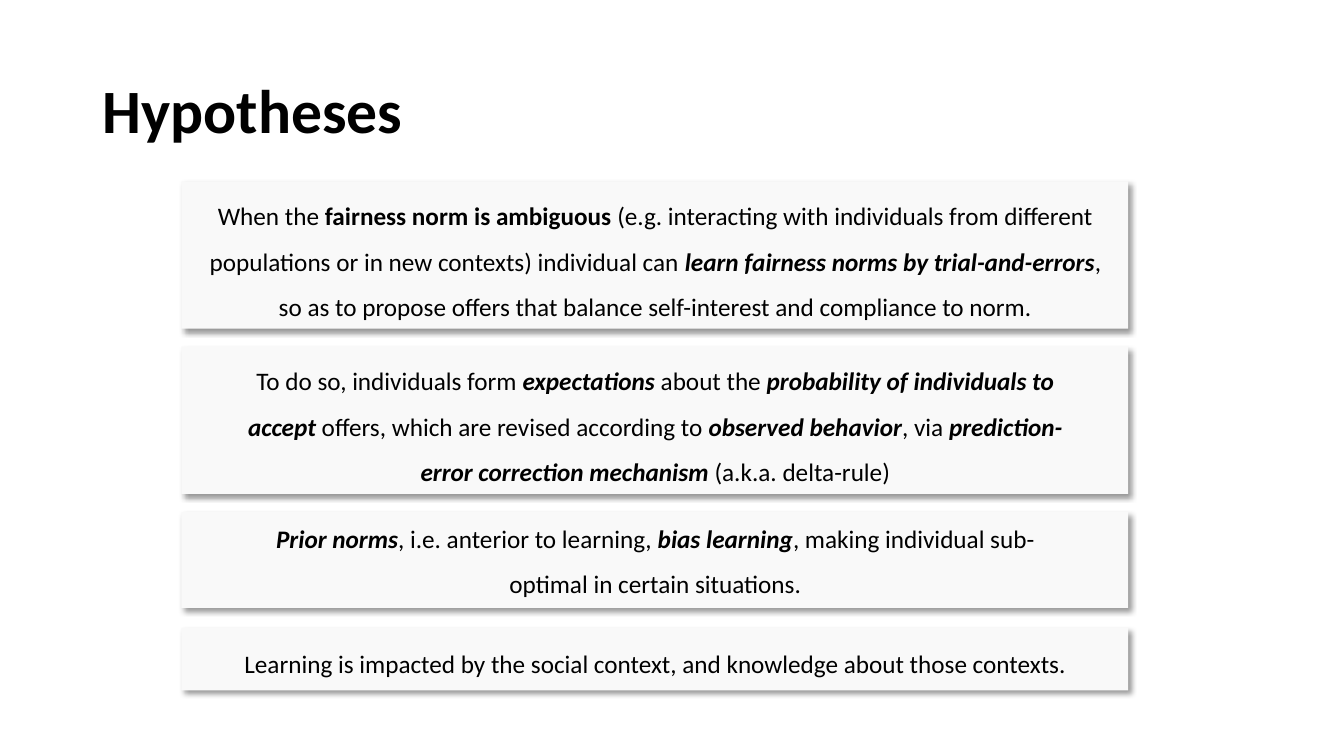
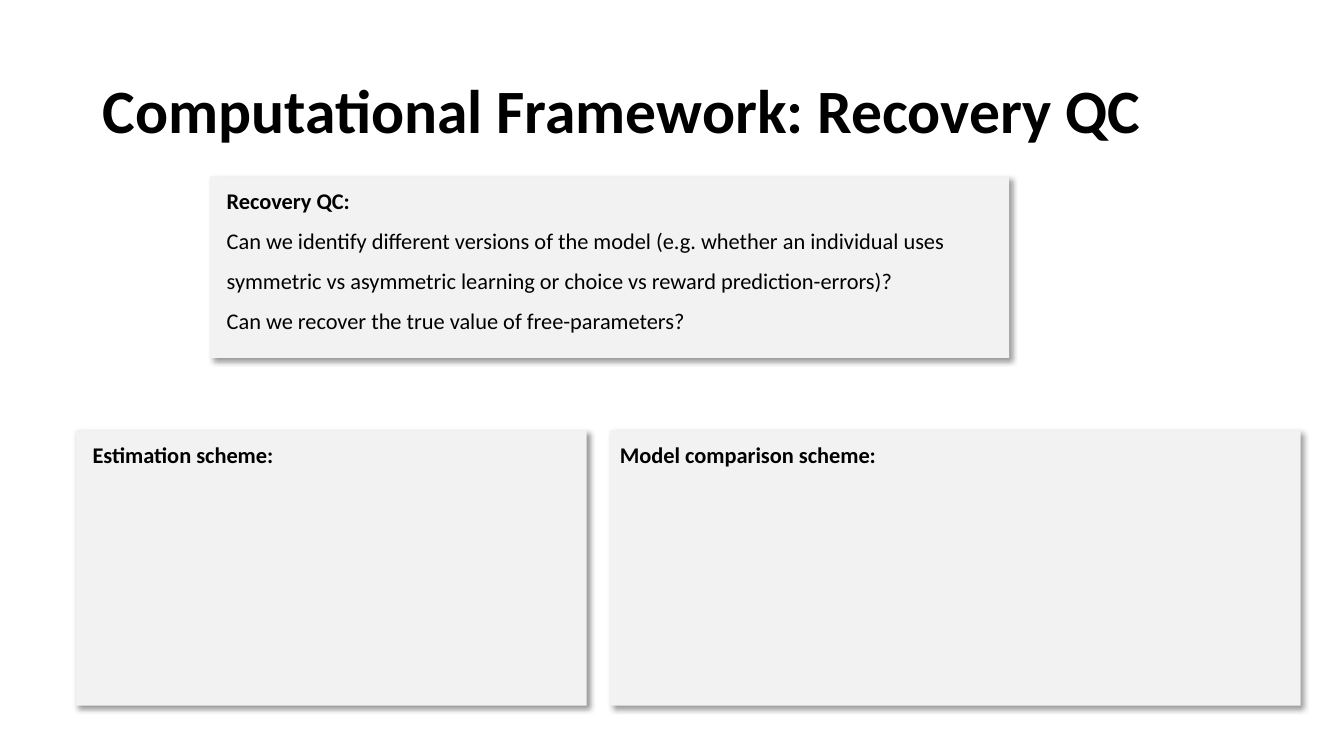
from dataclasses import dataclass
from typing import NamedTuple

from lxml.etree import SubElement
from pptx import Presentation
from pptx.dml.color import RGBColor
from pptx.enum.shapes import MSO_SHAPE
from pptx.enum.text import MSO_ANCHOR, PP_ALIGN
from pptx.oxml.ns import qn
from pptx.presentation import Presentation as Deck
from pptx.slide import Slide
from pptx.util import Inches, Pt

FONT = "Calibri"
BLACK = "000000"
PALE_GREY = "F9F9F9"
LIGHT_GREY = "F2F2F2"


class Span(NamedTuple):
    """A piece of text with one style."""
    text: str
    bold: bool = False
    italic: bool = False


class Area(NamedTuple):
    """A place on the slide, in inches."""
    left: float
    top: float
    width: float
    height: float


@dataclass(frozen=True)
class TextStyle:
    """How the paragraphs of a text box look."""
    size: int
    spacing: float
    align: PP_ALIGN = PP_ALIGN.LEFT
    anchor: MSO_ANCHOR = MSO_ANCHOR.TOP


@dataclass(frozen=True)
class Card:
    """A shadowed panel and the text box over it."""
    panel: Area
    text: Area
    paragraphs: list[list[Span]]


TITLE_AREA = Area(0.92, 0.4, 11.5, 1.45)
TITLE_STYLE = TextStyle(44, 0.9, anchor=MSO_ANCHOR.MIDDLE)
HYPOTHESIS_STYLE = TextStyle(18, 1.5, PP_ALIGN.CENTER)
SCHEME_STYLE = TextStyle(16, 1.5)


def color(value: str) -> RGBColor:
    """Turn a hex string into a colour."""
    return RGBColor.from_string(value)


def strong(text: str) -> Span:
    """Make a bold italic span."""
    return Span(text, bold=True, italic=True)


def inches(area: Area) -> list[Inches]:
    """Convert an area to lengths."""
    return [Inches(value) for value in area]


def add_text(page: Slide, area: Area, paragraphs: list[list[Span]], style: TextStyle) -> None:
    """Add a wrapped text box, run by run."""
    frame = page.shapes.add_textbox(*inches(area)).text_frame
    frame.word_wrap = True
    frame.vertical_anchor = style.anchor
    for index, spans in enumerate(paragraphs):
        para = frame.add_paragraph() if index else frame.paragraphs[0]
        para.alignment = style.align
        para.line_spacing = style.spacing
        for span in spans:
            run = para.add_run()
            run.text = span.text
            run.font.name = FONT
            run.font.size = Pt(style.size)
            run.font.bold = span.bold
            run.font.italic = span.italic
            run.font.color.rgb = color(BLACK)


def add_panel(page: Slide, area: Area, fill: str) -> None:
    """Add a borderless rectangle with a shadow to the lower right."""
    panel = page.shapes.add_shape(MSO_SHAPE.RECTANGLE, *inches(area))
    panel.fill.solid()
    panel.fill.fore_color.rgb = color(fill)
    panel.line.fill.background()
    panel.shadow.inherit = False
    effects = panel.element.spPr.find(qn("a:effectLst"))
    shadow = SubElement(effects, qn("a:outerShdw"), blurRad=str(Pt(4)), dist=str(Pt(3)),
                        dir=str(45 * 60000), algn="tl", rotWithShape="0")
    tint = SubElement(shadow, qn("a:srgbClr"), val=BLACK)
    SubElement(tint, qn("a:alpha"), val="40000")


def add_page(deck: Deck, title: str, cards: list[Card], fill: str, style: TextStyle) -> None:
    """Add a slide with a title and cards."""
    page = deck.slides.add_slide(deck.slide_layouts[6])
    add_text(page, TITLE_AREA, [[Span(title, bold=True)]], TITLE_STYLE)
    for card in cards:
        add_panel(page, card.panel, fill)
        add_text(page, card.text, card.paragraphs, style)


def hypothesis(top: float, height: float, text: Area, *spans: Span) -> Card:
    """Make a card of the shared hypothesis column."""
    return Card(Area(1.8, top, 9.39, height), text, [list(spans)])


def scheme(left: float, width: float, text_left: float, text_width: float, heading: str) -> Card:
    """Make a card of the lower row, with only a heading."""
    return Card(Area(left, 4.27, width, 2.73), Area(text_left, 4.19, text_width, 0.5),
                [[Span(heading, bold=True)]])


HYPOTHESES = [
    hypothesis(
        1.8, 1.46, Area(1.89, 1.79, 9.22, 1.46),
        Span("When the "),
        Span("fairness norm is ambiguous", bold=True),
        Span(" (e.g. interacting with individuals from different populations"
             " or in new contexts) individual can "),
        strong("learn fairness norms by trial-and-errors"),
        Span(", so as to propose offers that balance self-interest and compliance to norm."),
    ),
    hypothesis(
        3.44, 1.46, Area(2.25, 3.43, 8.5, 1.46),
        Span("To do so, individuals form "),
        strong("expectations"),
        Span(" about the "),
        strong("probability of individuals to accept"),
        Span(" offers, which are revised according to "),
        strong("observed behavior"),
        Span(", via "),
        strong("prediction-error correction mechanism "),
        Span("(a.k.a. delta-rule)"),
    ),
    hypothesis(
        5.08, 0.95, Area(2.45, 4.99, 8.1, 1.01),
        strong("Prior norms"),
        Span(", i.e. anterior to learning, "),
        strong("bias learning"),
        Span(", making individual sub-optimal in certain situations."),
    ),
    hypothesis(
        6.23, 0.62, Area(1.89, 6.23, 9.22, 0.51),
        Span("Learning is impacted by the social context, and knowledge about those contexts."),
    ),
]

RECOVERY = [
    Card(Area(2.08, 1.75, 7.93, 1.8), Area(2.15, 1.67, 8.11, 1.72), [
        [Span("Recovery QC:", bold=True)],
        [Span("Can we identify different versions of the model (e.g. whether an individual uses"
              " symmetric vs asymmetric learning or choice vs reward prediction-errors)?")],
        [Span("Can we recover the true value of free-parameters?")],
    ]),
    scheme(0.75, 5.07, 0.82, 3.82, "Estimation scheme:"),
    scheme(6.05, 6.85, 6.05, 5.75, "Model comparison scheme:"),
]


def main() -> None:
    """Build and save the deck."""
    deck = Presentation()
    deck.slide_width = Inches(13.33)
    deck.slide_height = Inches(7.5)
    add_page(deck, "Hypotheses", HYPOTHESES, PALE_GREY, HYPOTHESIS_STYLE)
    add_page(deck, "Computational Framework: Recovery QC", RECOVERY, LIGHT_GREY, SCHEME_STYLE)
    deck.save("out.pptx")


main()
